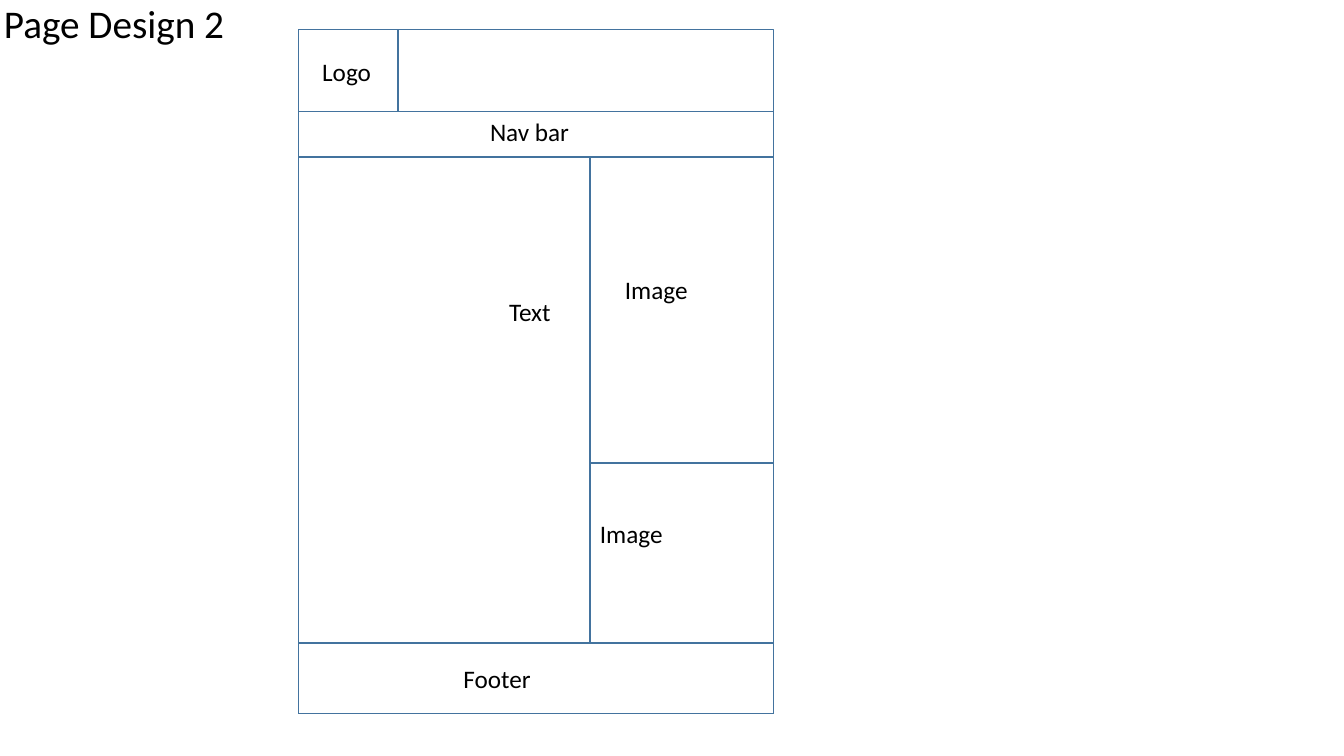
from pptx import Presentation
from pptx.dml.color import RGBColor
from pptx.enum.shapes import MSO_SHAPE as Preset
from pptx.enum.text import MSO_ANCHOR as Anchor
from pptx.util import Cm, Pt


def color(hex_value):
    """Turn a hex string into a colour."""
    return RGBColor.from_string(hex_value)


def add_label(slide, wording, box, size, anchor=Anchor.TOP, spacing=1.0):
    """Add left-aligned Calibri text in a box given in centimetres."""
    frame = slide.shapes.add_textbox(*map(Cm, box)).text_frame
    frame.word_wrap = True
    frame.vertical_anchor = anchor
    paragraph = frame.paragraphs[0]
    paragraph.line_spacing = spacing
    run = paragraph.add_run()
    run.text = wording
    for attribute, value in {"name": "Calibri", "size": Pt(size)}.items():
        setattr(run.font, attribute, value)
    run.font.color.rgb = color("000000")


deck = Presentation()
deck.slide_width, deck.slide_height = Cm(33.87), Cm(19.05)
page = deck.slides.add_slide(deck.slide_layouts[6])

add_label(page, "Page Design 2", (-0.15, -1.19, 29.21, 3.68), 28, Anchor.MIDDLE, 0.9)

# Edges shared by the wireframe regions, in centimetres
left, logo_right, column_split, right = 7.52, 10.03, 14.87, 19.5
top, nav_top, body_top, image_split, footer_top, bottom = 0.74, 2.81, 3.96, 11.67, 16.2, 17.98

regions = [
    (left, top, right, bottom),  # whole page
    (left, top, logo_right, nav_top),  # logo
    (left, nav_top, right, body_top),  # nav bar
    (left, footer_top, right, bottom),  # footer
    (left, body_top, column_split, footer_top),  # text
    (column_split, body_top, right, image_split),  # upper image
]
for x1, y1, x2, y2 in regions:
    region = page.shapes.add_shape(Preset.RECTANGLE, Cm(x1), Cm(y1), Cm(x2 - x1), Cm(y2 - y1))
    region.shadow.inherit = False
    region.fill.background()
    region.line.color.rgb = color("43739E")
    region.line.width = Pt(1)

region_labels = [
    ("Logo", 7.87, 1.3, 1.8),
    ("Nav bar", 12.1, 2.8, 2.55),
    ("Text", 12.58, 7.34, 1.85),
    ("Footer", 11.43, 16.6, 3.81),
    ("Image", 15.5, 6.78, 3.4),
    ("Image", 14.87, 12.93, 3.4),
]
for wording, x, y, width in region_labels:
    add_label(page, wording, (x, y, width, 1.02), 18)

deck.save("out.pptx")
